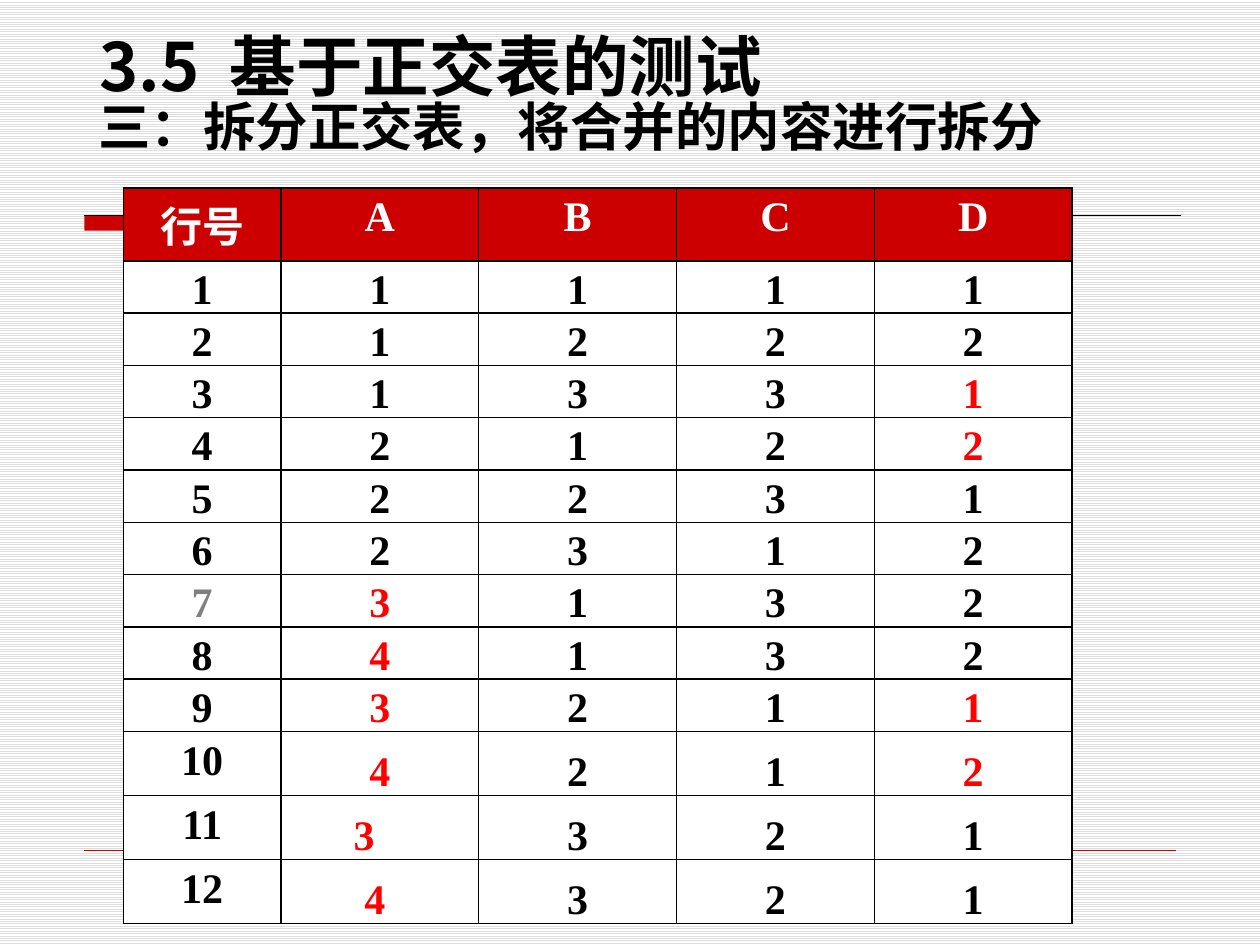
from collections import namedtuple

from lxml import etree
from pptx import Presentation
from pptx import util as u
from pptx.dml.color import RGBColor
from pptx.enum import dml, shapes, text
from pptx.oxml import ns

Box = namedtuple("Box", "left top width height")

# The slide is a grid of 100 columns by 75 rows of square units.
UNIT = u.Inches(0.1)
COLORS = {
    "black": "000000", "white": "FFFFFF", "accent": "CC0000",
    "changed": "FF0000", "muted": "808080", "stripe": "DDDDDD",
}
CJK_FONT = "Noto Sans CJK SC"

HEADER = ["行号", "A", "B", "C", "D"]
# Factor levels A to D of each test case
LEVELS = ["1111", "1222", "1331", "2122", "2231", "2312",
          "3132", "4132", "3211", "4212", "3321", "4321"]
# Cells changed by the split, as (case, column)
CHANGED = {(3, 4), (4, 4), (7, 1), (8, 1), (9, 1), (9, 4),
           (10, 1), (10, 4), (11, 1), (12, 1)}
# Extra right inset for values set left of the centre, in inches
RIGHT_INSETS = {(11, 1): 0.26, (12, 1): 0.09}


def units(value):
    return int(value * UNIT)


def color(name):
    return RGBColor.from_string(COLORS[name])


def add_span(para, words, size, font, shade="black"):
    span = para.add_run()
    span.text = words
    span.font.size = u.Pt(size)
    span.font.bold = True
    span.font.name = font
    span.font.color.rgb = color(shade)
    east_asian = etree.SubElement(span.font._element, ns.qn("a:ea"))
    east_asian.set("typeface", CJK_FONT)
    return span


def add_rule(page, left, top, right, shade, weight):
    rule = page.shapes.add_connector(
        shapes.MSO_CONNECTOR.STRAIGHT,
        units(left), units(top), units(right), units(top))
    rule.line.color.rgb = color(shade)
    rule.line.width = u.Pt(weight)
    etree.SubElement(rule._element.spPr, ns.qn("a:effectLst"))


def add_text_frame(page, box):
    frame = page.shapes.add_textbox(*map(units, box)).text_frame
    frame.word_wrap = True
    return frame


def add_backdrop(page, box):
    # Striped background
    fill = page.background.fill
    fill.patterned()
    fill.pattern = dml.MSO_PATTERN.LIGHT_HORIZONTAL
    fill.fore_color.rgb = color("stripe")
    fill.back_color.rgb = color("white")

    # Short bar under the upper rule, and the lower rule
    bar = page.shapes.add_shape(
        shapes.MSO_SHAPE.RECTANGLE, units(box.left), units(box.top),
        units(box.width * 0.585), units(1.2))
    bar.shadow.inherit = False
    bar.fill.solid()
    bar.fill.fore_color.rgb = color("accent")
    bar.line.fill.background()
    right = box.left + box.width
    add_rule(page, box.left, box.top, right, "black", 0.75)
    add_rule(page, box.left, box.top + box.height, right - 0.4, "accent", 0.25)


def add_title(page, box):
    frame = add_text_frame(page, box)
    frame.vertical_anchor = text.MSO_ANCHOR.BOTTOM
    frame.margin_bottom = 0
    para = frame.paragraphs[0]
    add_span(para, "3.5", 38, CJK_FONT)
    gap = add_span(para, " ", 38, CJK_FONT)
    gap.font._element.set("spc", "850")
    add_span(para, "基于正交表的测试", 38, CJK_FONT)


def add_body(page, box):
    frame = add_text_frame(page, box)
    frame.margin_top = 0
    add_span(frame.paragraphs[0], "三：拆分正交表，将合并的内容进行拆分",
             30, "DejaVu Sans")


def add_borders(cell):
    properties = cell._tc.get_or_add_tcPr()
    for side in ("lnL", "lnR", "lnT", "lnB"):
        border = etree.SubElement(properties, ns.qn(f"a:{side}"), w=str(u.Pt(1)))
        fill = etree.SubElement(border, ns.qn("a:solidFill"))
        etree.SubElement(fill, ns.qn("a:srgbClr"), val=COLORS["black"])


def fill_cell(cell, words, row, column):
    is_header = row == 0
    add_borders(cell)
    cell.fill.solid()
    cell.fill.fore_color.rgb = color("accent" if is_header else "white")

    # The header and the last three case numbers stay at the top
    if is_header or (column == 0 and row >= 10):
        cell.vertical_anchor = text.MSO_ANCHOR.TOP
        insets = (0.07, 0.05, 0.07, 0.05)
    else:
        cell.vertical_anchor = text.MSO_ANCHOR.BOTTOM
        insets = (0.01, 0.01, RIGHT_INSETS.get((row, column), 0.01), 0)
    (cell.margin_left, cell.margin_top,
     cell.margin_right, cell.margin_bottom) = map(u.Inches, insets)

    if is_header:
        shade = "white"
    elif (row, column) in CHANGED:
        shade = "changed"
    else:
        shade = "muted" if (row, column) == (7, 0) else "black"
    para = cell.text_frame.paragraphs[0]
    para.alignment = text.PP_ALIGN.CENTER
    add_span(para, words, 24, "Times New Roman", shade)


def add_levels_table(page, box):
    records = [HEADER] + [[str(case), *levels]
                          for case, levels in enumerate(LEVELS, 1)]
    table = page.shapes.add_table(
        len(records), len(HEADER), *map(units, box)).table
    table.horz_banding = False

    # Share the box out among columns and rows
    widths = [12.5] + [15.7] * 4
    heights = [5.8] + [4.15] * 9 + [5.08] * 3
    for column, width in zip(table.columns, widths):
        column.width = units(box.width * width / sum(widths))
    for row, height in zip(table.rows, heights):
        row.height = units(box.height * height / sum(heights))

    for row, record in enumerate(records):
        for column, words in enumerate(record):
            fill_cell(table.cell(row, column), words, row, column)


def main():
    deck = Presentation()
    deck.slide_width, deck.slide_height = units(100), units(75)
    page = deck.slides.add_slide(deck.slide_layouts[6])
    add_backdrop(page, Box(6.7, 17.1, 87, 50.4))
    add_body(page, Box(6.8, 7.5, 87.2, 62.7))
    add_levels_table(page, Box(9.8, 14.9, 75.3, 58.4))
    add_title(page, Box(6.9, 0.1, 86.2, 8.2))
    deck.save("out.pptx")


if __name__ == "__main__":
    main()
